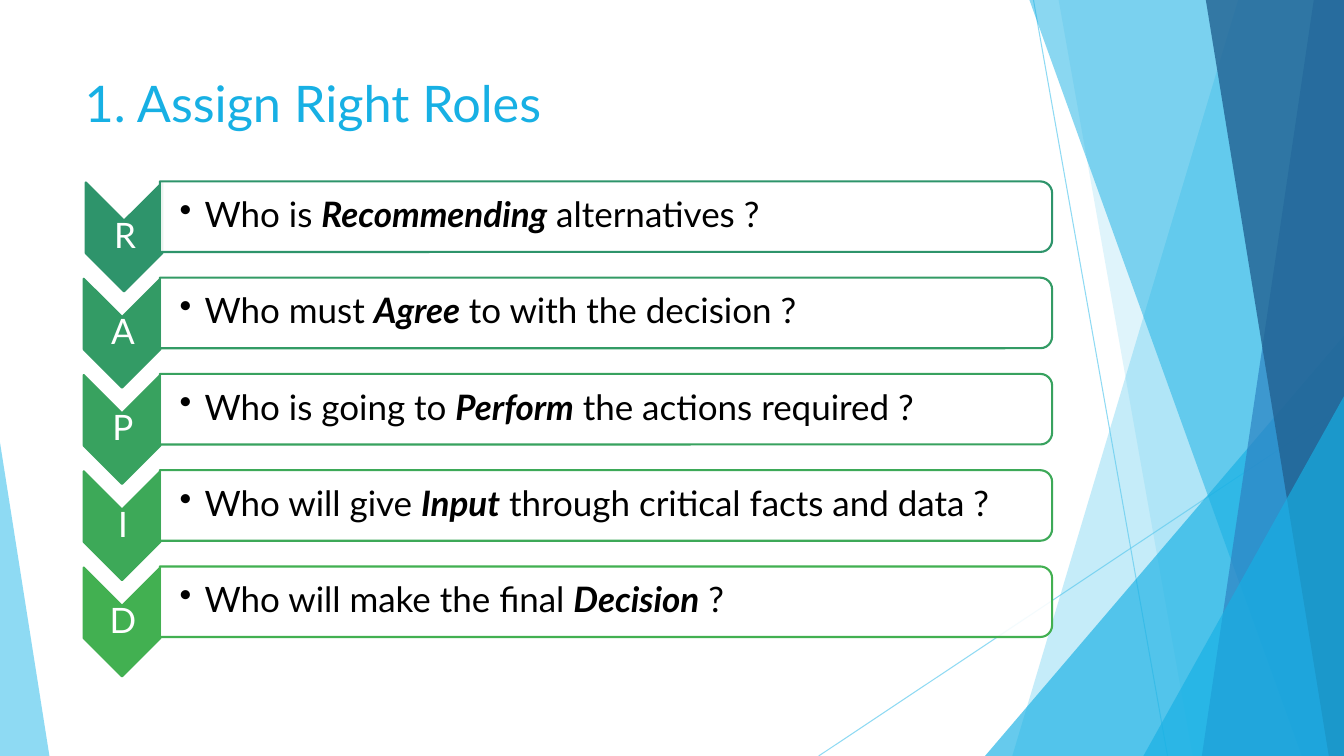
from lxml import etree
from pptx import Presentation
from pptx.dml.color import RGBColor
from pptx.enum.shapes import MSO_CONNECTOR, MSO_SHAPE
from pptx.enum.text import MSO_ANCHOR, PP_ALIGN
from pptx.oxml.ns import qn
from pptx.util import Inches, Pt

STRAIGHT = MSO_CONNECTOR.STRAIGHT
TRIANGLE, CHEVRON = MSO_SHAPE.ISOSCELES_TRIANGLE, MSO_SHAPE.CHEVRON
BAR = MSO_SHAPE.ROUND_2_SAME_RECTANGLE
TOP, MIDDLE = MSO_ANCHOR.TOP, MSO_ANCHOR.MIDDLE
LEFT, CENTER = PP_ALIGN.LEFT, PP_ALIGN.CENTER

WIDTH, HEIGHT = 13.33, 7.5
FONT = "Lato"
SKY, CYAN, BLUE, NAVY = "5FCBEF", "17B0E4", "2E83C3", "226292"

TITLE = "1. Assign Right Roles"
# Letter, colour, text before the role, role, text after it
ROLES = [
    ("R", "2E946B", "Who is ", "Recommending", " alternatives ?"),
    ("A", "339B65", "Who must ", "Agree", " to with the decision ?"),
    ("P", "38A25F", "Who is going to ", "Perform", " the actions required ?"),
    ("I", "3DA958", "Who will give ", "Input", " through critical facts and data ?"),
    ("D", "42B051", "Who will make the final ", "Decision", " ?"),
]

# Thin lines: start x, start y, end x, end y
RAYS = [(10.25, 0, 11.58, HEIGHT), (WIDTH, 4.03, 8.12, HEIGHT)]
# Bands reach the right edge: kind, top left x, bottom left x, colour, opacity
# Triangles stand on the bottom edge: kind, left, top, width, peak, colour, opacity
FACETS = [
    ("band", 12.28, 10.04, SKY, 36),
    ("band", 10.5, 11.83, SKY, 20),
    ("triangle", 9.77, 3.33, 3.56, 1, CYAN, 66),
    ("band", 10.21, 12.91, CYAN, 50),
    ("band", 13.03, 11.92, BLUE, 70),
    ("band", 11.96, 13.18, NAVY, 80),
    ("triangle", 11.34, 3.93, 1.99, 1, CYAN, 66),
    ("triangle", 0, 4.39, 0.49, 0, SKY, 70),
]

# Row centres and the sizes of the parts in a row
FIRST_ROW, LAST_ROW = 2.15, 5.97
ROW_STEP = (LAST_ROW - FIRST_ROW) / (len(ROLES) - 1)
CHEVRON_X, CHEVRON_DROP = 1.21, 0.2
CHEVRON_LENGTH, CHEVRON_BREADTH = 1.08, 0.76
BAR_X, BAR_LENGTH, BAR_BREADTH = 6.01, 8.85, 0.7


def colour(value):
    return RGBColor.from_string(value)


def set_alpha(element, percent):
    for tone in element.iter(qn("a:srgbClr")):
        etree.SubElement(tone, qn("a:alpha")).set("val", str(percent * 1000))


def paint(shape, fill, opacity=100, line=None):
    shape.shadow.inherit = False
    shape.fill.solid()
    shape.fill.fore_color.rgb = colour(fill)
    if opacity < 100:
        set_alpha(shape._element.spPr, opacity)
    if line:
        shape.line.color.rgb = colour(line)
        shape.line.width = Pt(1.5)
    else:
        shape.line.fill.background()


def add_ray(page, x1, y1, x2, y2):
    ray = page.shapes.add_connector(
        STRAIGHT, Inches(x1), Inches(y1), Inches(x2), Inches(y2))
    ray.line.color.rgb = colour(SKY)
    ray.line.width = Pt(0.75)
    set_alpha(ray._element.spPr, 70)
    etree.SubElement(ray._element.spPr, qn("a:effectLst"))


def add_band(page, top_x, bottom_x, fill, opacity):
    builder = page.shapes.build_freeform(
        Inches(top_x), 0)
    corners = [(WIDTH, 0), (WIDTH, HEIGHT), (bottom_x, HEIGHT)]
    builder.add_line_segments([(Inches(x), Inches(y)) for x, y in corners])
    paint(builder.convert_to_shape(), fill, opacity)


def add_triangle(page, left, top, width, peak, fill, opacity):
    shape = page.shapes.add_shape(
        TRIANGLE, Inches(left), Inches(top), Inches(width), Inches(HEIGHT - top))
    shape.adjustments[0] = peak
    paint(shape, fill, opacity)


def add_turned(page, kind, x, y, length, breadth, fill, opacity, line):
    """Add a shape centred on x, y and turned a quarter clockwise."""
    shape = page.shapes.add_shape(
        kind, Inches(x - length / 2), Inches(y - breadth / 2),
        Inches(length), Inches(breadth))
    shape.rotation = 90
    paint(shape, fill, opacity, line)


def add_text(page, area, spans, size, tone, anchor, align, insets):
    """Add one paragraph; each span is its text and whether it is stressed."""
    box = page.shapes.add_textbox(*map(Inches, area))
    frame = box.text_frame
    frame.word_wrap = True
    frame.vertical_anchor = anchor
    (frame.margin_left, frame.margin_top,
     frame.margin_right, frame.margin_bottom) = map(Inches, insets)
    para = frame.paragraphs[0]
    para.alignment = align
    for text, stressed in spans:
        span = para.add_run()
        span.text = text
        font = span.font
        font.name, font.size, font.color.rgb = FONT, Pt(size), colour(tone)
        font.bold = font.italic = stressed
    return para


def add_bullet(para):
    props = para._p.get_or_add_pPr()
    props.set("marL", str(Inches(0.25)))
    props.set("indent", str(-Inches(0.25)))
    etree.SubElement(props, qn("a:buChar")).set("char", "•")


def add_role(page, row, letter, tone, before, role, after):
    y = FIRST_ROW + row * ROW_STEP
    x = CHEVRON_X + (0.02 if row == 0 else 0)
    tip_y = y + CHEVRON_DROP
    add_turned(page, CHEVRON, x, tip_y, CHEVRON_LENGTH, CHEVRON_BREADTH,
               tone, 100, tone)
    label = add_text(page, (x - 0.37, tip_y - 0.16, 0.76, 0.32), [(letter, False)],
                     25, "FFFFFF", MIDDLE, CENTER, [0.02] * 4)
    label.line_spacing = 0.9
    add_turned(page, BAR, BAR_X, y, BAR_BREADTH, BAR_LENGTH, "FFFFFF", 90, tone)
    spans = [(before, False), (role, True), (after, False)]
    question = add_text(page, (1.59, y - 0.32, 8.81, 0.63), spans,
                        25, "000000", MIDDLE, LEFT, [0.19, 0.02, 0.02, 0.02])
    question.line_spacing = 0.9
    add_bullet(question)


def main():
    deck = Presentation()
    deck.slide_width, deck.slide_height = Inches(WIDTH), Inches(HEIGHT)
    page = deck.slides.add_slide(deck.slide_layouts[6])
    for ray in RAYS:
        add_ray(page, *ray)
    for kind, *facet in FACETS:
        add_facet = add_band if kind == "band" else add_triangle
        add_facet(page, *facet)
    add_text(page, (0.74, 0.67, 9.59, 0.86), [(TITLE, False)],
             36, CYAN, TOP, LEFT, [0.1, 0.05, 0.1, 0.05])
    for row, role in enumerate(ROLES):
        add_role(page, row, *role)
    deck.save("out.pptx")


if __name__ == "__main__":
    main()
